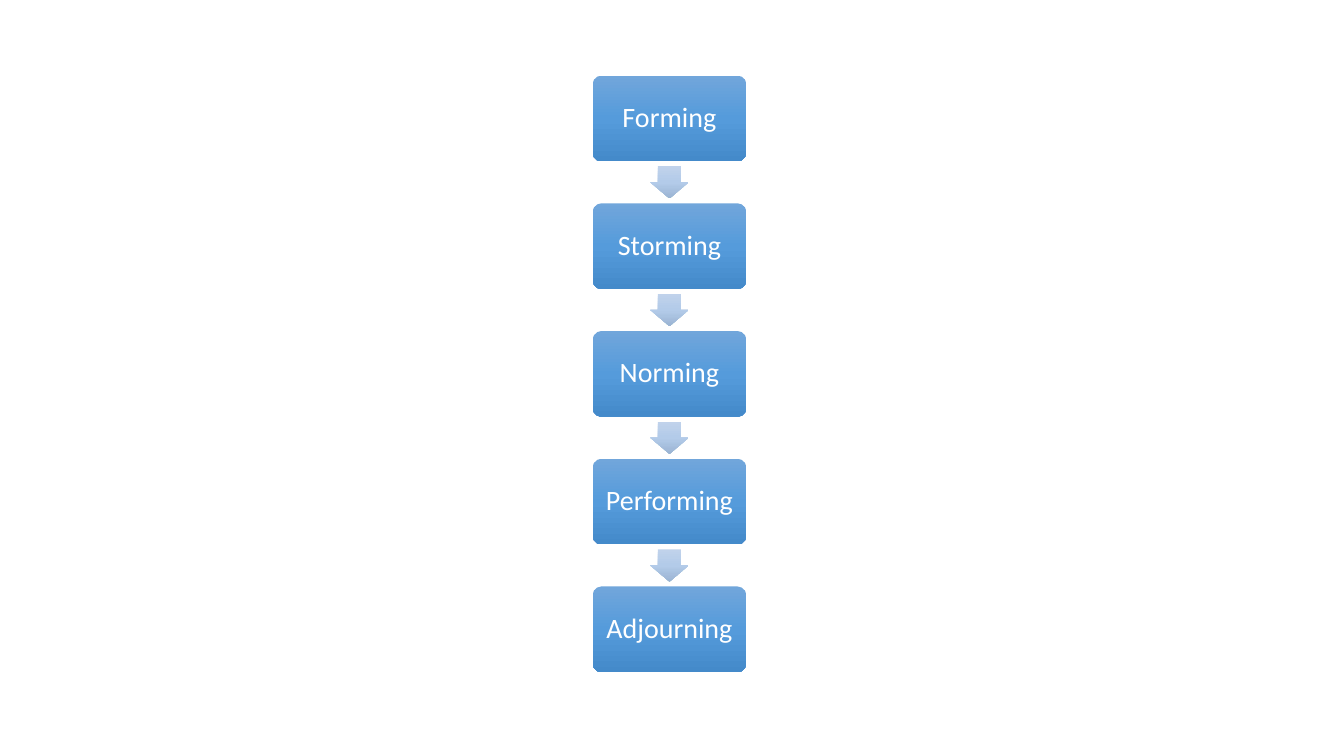
from copy import deepcopy

from pptx import Presentation
from pptx.dml.color import RGBColor
from pptx.enum import shapes, text
from pptx.oxml.ns import qn
from pptx.util import Inches, Pt

COLORS = {
    "stage": ("71A6DB", "559BDB", "448ACA"),
    "arrow": ("C0D2EB", "B3CBE9", "9BB4D3"),
    "label": "FFFFFF",
}
STAGES = ["Forming", "Storming", "Norming", "Performing", "Adjourning"]
LEFT, TOP, WIDTH, HEIGHT, PITCH = 5.88, 0.75, 1.52, 0.85, 1.267
ARROW_LENGTH, ARROW_SPAN = 0.32, 0.38


class StageSlide:
    font = "Calibri"
    size = Pt(20)

    def __init__(self, slide):
        self.slide = slide

    def shape(self, kind, left, top, width, height, colors, angle):
        shape = self.slide.shapes.add_shape(
            kind, Inches(left), Inches(top), Inches(width), Inches(height))
        shape.shadow.inherit = False
        shape.line.fill.background()
        shape.fill.gradient()
        shape.fill.gradient_angle = angle
        first = next(shape._element.spPr.iter(qn("a:gs")))
        first.addnext(deepcopy(first))
        for stop, color, position in zip(shape.fill.gradient_stops, colors, (0, 0.5, 1)):
            stop.color.rgb = RGBColor.from_string(color)
            stop.position = position
        return shape

    def stage(self, label, top):
        box = self.shape(shapes.MSO_SHAPE.ROUNDED_RECTANGLE,
                         LEFT, top, WIDTH, HEIGHT, COLORS["stage"], 270)
        box.adjustments[0] = 0.1
        frame = box.text_frame
        frame.word_wrap = True
        frame.vertical_anchor = text.MSO_ANCHOR.MIDDLE
        frame.margin_left = frame.margin_right = Inches(0.08)
        frame.margin_top = frame.margin_bottom = Inches(0.08)
        frame.text = label
        paragraph = frame.paragraphs[0]
        paragraph.alignment = text.PP_ALIGN.CENTER
        paragraph.line_spacing = 0.9
        font = paragraph.runs[0].font
        font.name = self.font
        font.size = self.size
        font.color.rgb = RGBColor.from_string(COLORS["label"])

    def arrow(self, middle):
        arrow = self.shape(shapes.MSO_SHAPE.RIGHT_ARROW,
                           LEFT + (WIDTH - ARROW_LENGTH) / 2, middle - ARROW_SPAN / 2,
                           ARROW_LENGTH, ARROW_SPAN, COLORS["arrow"], 0)
        arrow.adjustments[0] = 0.6
        arrow.adjustments[1] = 0.5
        arrow.rotation = 90


def main():
    deck = Presentation()
    deck.slide_width = Inches(13.33)
    deck.slide_height = Inches(7.5)
    process = StageSlide(deck.slides.add_slide(deck.slide_layouts[6]))
    for index, label in enumerate(STAGES):
        top = TOP + index * PITCH
        if index:
            process.arrow(top - (PITCH - HEIGHT) / 2)
        process.stage(label, top)
    deck.save("out.pptx")


if __name__ == "__main__":
    main()
